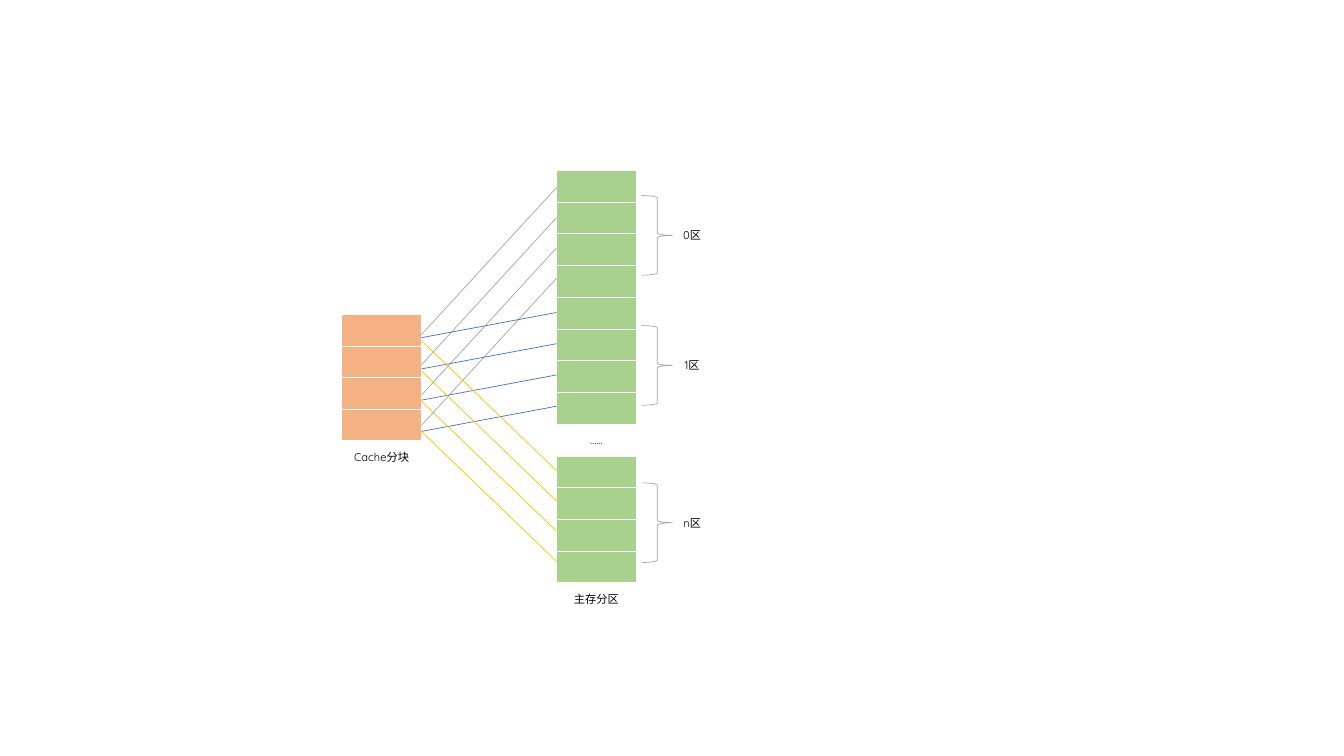
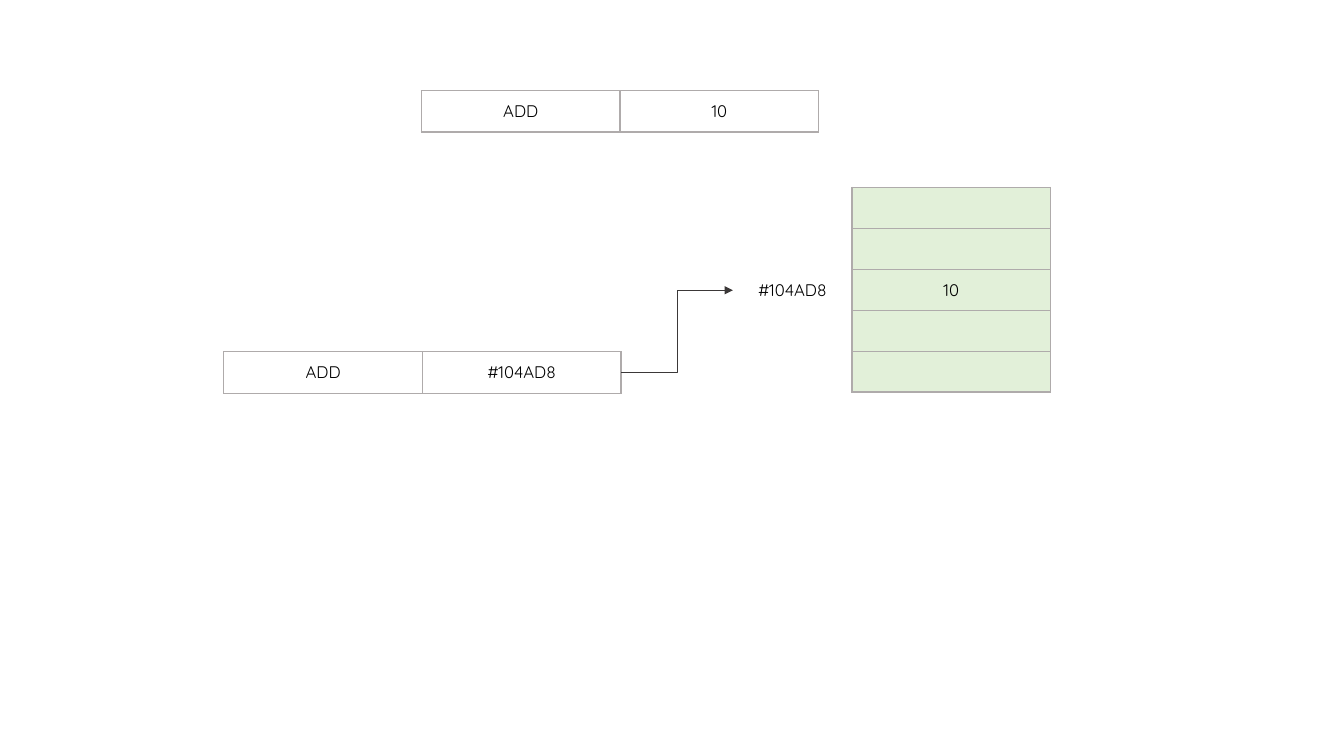
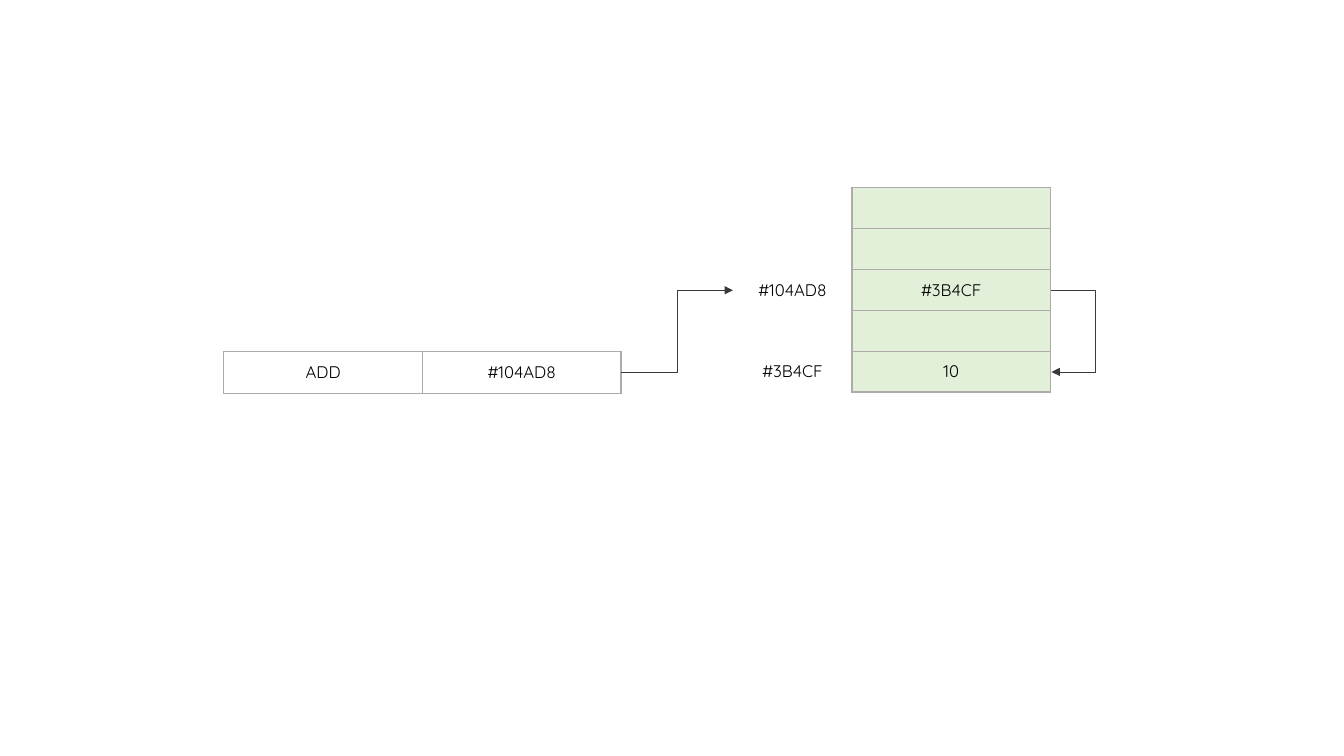
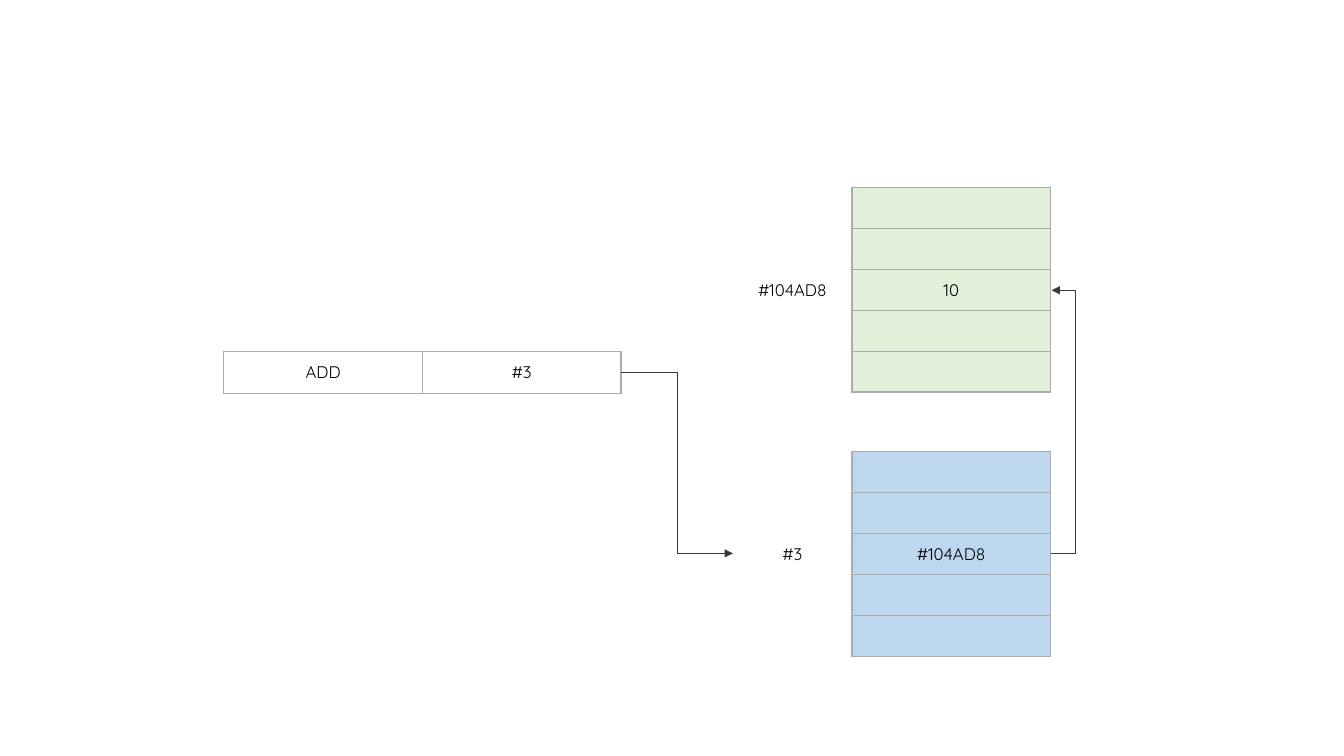
from lxml import etree
from pptx import Presentation
from pptx.dml.color import RGBColor
from pptx.enum.shapes import MSO_CONNECTOR, MSO_SHAPE
from pptx.enum.text import MSO_ANCHOR, PP_ALIGN
from pptx.oxml.ns import qn
from pptx.util import Inches, Pt

STRAIGHT, ELBOW = MSO_CONNECTOR.STRAIGHT, MSO_CONNECTOR.ELBOW
BRACE = MSO_SHAPE.RIGHT_BRACE
MIDDLE, CENTER = MSO_ANCHOR.MIDDLE, PP_ALIGN.CENTER

FONT = "Quicksand"
SMALL, NORMAL = Pt(8), Pt(12)
BLACK = RGBColor(0x00, 0x00, 0x00)
WHITE = RGBColor(0xFF, 0xFF, 0xFF)
DARK = RGBColor(0x3B, 0x38, 0x38)
GRAY = RGBColor(0xA5, 0xA5, 0xA5)
GRID = RGBColor(0xAF, 0xAB, 0xAB)
BLUE = RGBColor(0x44, 0x72, 0xC4)
GOLD = RGBColor(0xFF, 0xC0, 0x00)
ORANGE = RGBColor(0xF4, 0xB1, 0x83)
GREEN = RGBColor(0xA9, 0xD1, 0x8E)
PALE_GREEN = RGBColor(0xE2, 0xF0, 0xD9)
PALE_BLUE = RGBColor(0xBD, 0xD7, 0xEE)

BLOCK_W, CELL_W, LABEL_W = 0.79, 1.97, 1.18
CELL_H, MEMORY_ROWS, MEMORY_H = 0.41, 5, 2.03
MEMORY_X = 7.27
MEMORY_RIGHT = MEMORY_X + LABEL_W + CELL_W
CODE_X, CODE_Y = 2.22, 3.49
CODE_RIGHT = CODE_X + 2 * CELL_W


class Deck:
    """Holds the presentation, its style and the current slide."""

    def __init__(self):
        self.prs = Presentation()
        self.prs.slide_width, self.prs.slide_height = Inches(13.33), Inches(7.5)

    def new_slide(self):
        self.s = self.prs.slides.add_slide(self.prs.slide_layouts[6])

    def set_text(self, tf, text, size):
        p = tf.paragraphs[0]
        p.text = text
        p.alignment = CENTER
        for r in p.runs:
            r.font.name, r.font.size, r.font.color.rgb = FONT, size, BLACK
        if not text:
            etree.SubElement(p._p, qn("a:endParaRPr"), sz=str(int(size.pt * 100)))

    def cell(self, cell, text, size, fill, border, sides="LRTB"):
        tc_pr = cell._tc.get_or_add_tcPr()
        for side in "LRTB":
            ln = etree.SubElement(tc_pr, qn("a:ln" + side), w=str(Pt(1)))
            if side in sides:
                solid = etree.SubElement(ln, qn("a:solidFill"))
                etree.SubElement(solid, qn("a:srgbClr"), val=str(border))
            else:
                etree.SubElement(ln, qn("a:noFill"))
        if fill is None:
            cell.fill.background()
        else:
            cell.fill.solid()
            cell.fill.fore_color.rgb = fill
        cell.vertical_anchor = MIDDLE
        cell.margin_left = cell.margin_right = Inches(0.05)
        self.set_text(cell.text_frame, text, size)

    def table(self, left, top, widths, height, rows):
        table = self.s.shapes.add_table(
            rows, len(widths), Inches(left), Inches(top),
            Inches(sum(widths)), Inches(height)).table
        table.first_row = table.horz_banding = False
        for column, width in zip(table.columns, widths):
            column.width = Inches(width)
        return table

    def blocks(self, left, top, height, texts, color):
        table = self.table(left, top, [BLOCK_W], height, len(texts))
        for i, text in enumerate(texts):
            self.cell(table.cell(i, 0), text, SMALL, None if text else color, WHITE)

    def instruction(self, left, top, operand):
        table = self.table(left, top, [CELL_W] * 2, CELL_H, 1)
        for i, text in enumerate(["ADD", operand]):
            self.cell(table.cell(0, i), text, NORMAL, WHITE, GRID)

    def memory(self, top, color, contents):
        table = self.table(MEMORY_X, top, [LABEL_W, CELL_W], MEMORY_H, MEMORY_ROWS)
        for i in range(MEMORY_ROWS):
            address, value = contents.get(i, ("", ""))
            self.cell(table.cell(i, 0), address, NORMAL, None, GRID, "R")
            self.cell(table.cell(i, 1), value, NORMAL, color, GRID)

    def zone(self, top, text):
        brace = self.s.shapes.add_shape(
            BRACE, Inches(6.37), Inches(top), Inches(0.3), Inches(0.79))
        brace.shadow.inherit = False
        brace.fill.background()
        brace.line.color.rgb, brace.line.width = GRAY, Pt(0.5)
        tf = self.s.shapes.add_textbox(
            Inches(6.59), Inches(top + 0.2), Inches(0.55), Inches(0.39)).text_frame
        tf.word_wrap = True
        tf.vertical_anchor = MIDDLE
        self.set_text(tf, text, SMALL)

    def line(self, kind, x1, y1, x2, y2, color):
        c = self.s.shapes.add_connector(
            kind, Inches(x1), Inches(y1), Inches(x2), Inches(y2))
        c.line.color.rgb, c.line.width = color, Pt(0.5)
        etree.SubElement(c._element.spPr, qn("a:effectLst"))
        return c

    def arrow(self, x1, y1, x2, y2, bend=0.5):
        c = self.line(ELBOW, x1, y1, x2, y2, DARK)
        sp_pr = c._element.spPr
        etree.SubElement(sp_pr.find(qn("a:ln")), qn("a:tailEnd"), type="triangle")
        guides = sp_pr.find(qn("a:prstGeom")).get_or_add_avLst()
        etree.SubElement(guides, qn("a:gd"), name="adj1",
                         fmla=f"val {round(bend * 100000)}")


def cache_mapping(d):
    d.new_slide()
    d.blocks(3.39, 3.12, 1.57, [""] * 4 + ["Cache分块"], ORANGE)
    d.blocks(5.52, 1.69, 4.41, [""] * 8 + ["……"] + [""] * 4 + ["主存分区"], GREEN)
    for top, text in [(1.94, "0区"), (3.23, "1区"), (4.79, "n区")]:
        d.zone(top, text)
    for start, end, step, color in [(1.86, 3.32, 0.3, GRAY),
                                    (3.1, 3.35, 0.31, BLUE),
                                    (4.67, 3.38, 0.3, GOLD)]:
        for i in range(4):
            d.line(STRAIGHT, 5.52, start + i * step, 4.18, end + i * step, color)


def direct_addressing(d):
    d.new_slide()
    d.instruction(4.18, 0.9, "10")
    d.instruction(CODE_X, CODE_Y, "#104AD8")
    d.memory(1.86, PALE_GREEN, {2: ("#104AD8", "10")})
    d.arrow(CODE_RIGHT, 3.69, MEMORY_X, 2.88)


def indirect_addressing(d):
    d.new_slide()
    d.instruction(CODE_X, CODE_Y, "#104AD8")
    d.memory(1.86, PALE_GREEN, {2: ("#104AD8", "#3B4CF"), 4: ("#3B4CF", "10")})
    d.arrow(CODE_RIGHT, 3.69, MEMORY_X, 2.88)
    d.arrow(MEMORY_RIGHT, 2.88, MEMORY_RIGHT + 0.01, 3.69, 45)


def register_indirect_addressing(d):
    d.new_slide()
    d.instruction(CODE_X, CODE_Y, "#3")
    d.memory(1.86, PALE_GREEN, {2: ("#104AD8", "10")})
    d.arrow(CODE_RIGHT, 3.69, MEMORY_X, 5.49)
    d.memory(4.48, PALE_BLUE, {2: ("#3", "#104AD8")})
    d.arrow(MEMORY_RIGHT, 5.49, MEMORY_RIGHT + 0.01, 2.88, 25)


def main():
    d = Deck()
    cache_mapping(d)
    direct_addressing(d)
    indirect_addressing(d)
    register_indirect_addressing(d)
    d.prs.save("out.pptx")


if __name__ == "__main__":
    main()
